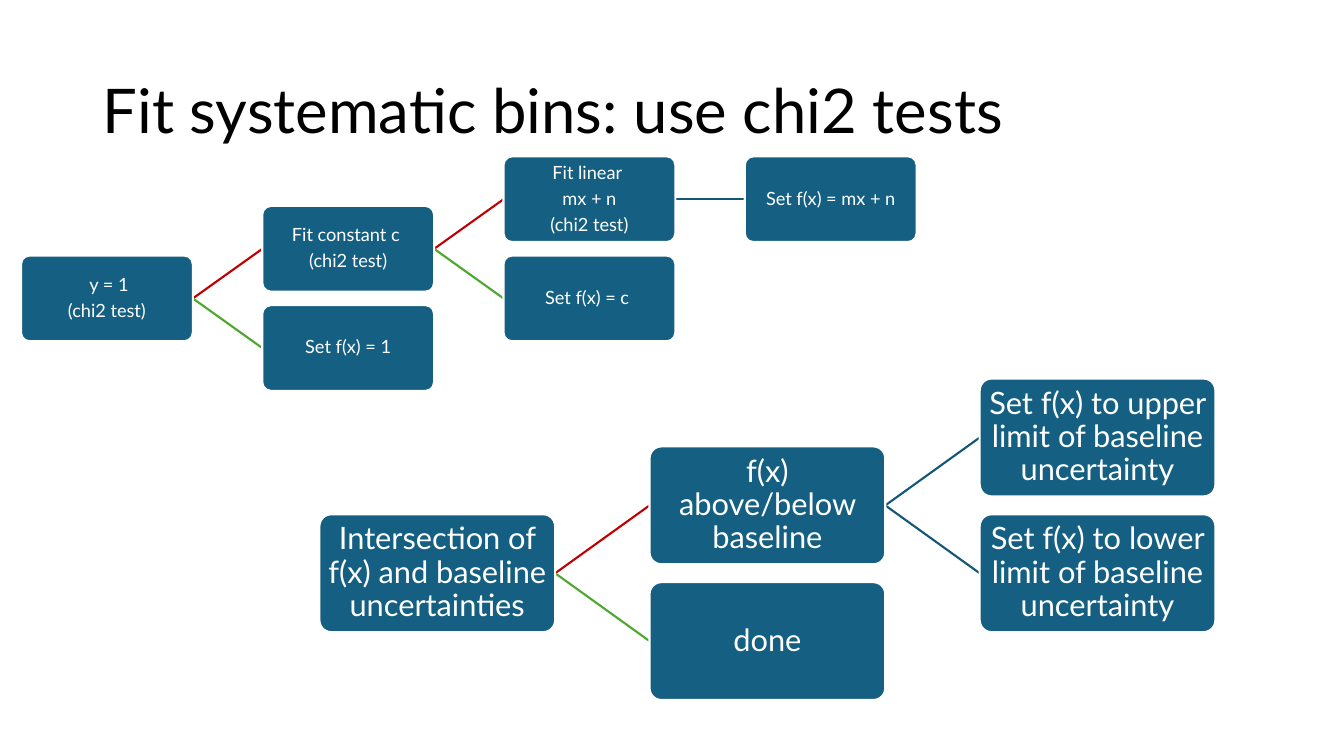
from dataclasses import dataclass

from lxml import etree
from pptx import Presentation
from pptx.dml.color import RGBColor
from pptx.enum import shapes, text
from pptx.oxml import ns
from pptx.util import Cm, Pt

FONT = "Lato"
WHITE, BLACK, BOX_BLUE, LINE_BLUE = "FFFFFF", "000000", "156082", "135776"
FAIL_RED, PASS_GREEN = "C00000", "4EA72E"


@dataclass
class TreeGrid:
    """Lengths in cm; a row is half the distance between two sibling boxes."""
    left: float
    top: float
    column_step: float
    row_step: float
    width: float
    height: float
    inset: float
    font_size: int

    def corner(self, cell):
        column, row = cell
        return self.left + column * self.column_step, self.top + row * self.row_step


FIT_GRID = TreeGrid(0.53, 6.44, 6.08, 1.25, 4.33, 2.16, 0.03, 13)
FIT_BOXES = {
    (0, 0): [" y = 1", "(chi2 test)"],
    (1, -1): ["Fit constant c ", "(chi2 test)"],
    (1, 1): ["Set f(x) = 1"],
    (2, -2): ["Fit linear ", "mx + n", "(chi2 test)"],
    (2, 0): ["Set f(x) = c "],
    (3, -2): ["Set f(x) = mx + n"],
}
FIT_BRANCHES = [
    ((0, 0), (1, -1), FAIL_RED),
    ((0, 0), (1, 1), PASS_GREEN),
    ((1, -1), (2, -2), FAIL_RED),
    ((1, -1), (2, 0), PASS_GREEN),
    ((2, -2), (3, -2), LINE_BLUE),
]

BASELINE_GRID = TreeGrid(8.05, 12.96, 8.32, 1.71, 5.94, 2.97, 0.05, 22)
BASELINE_BOXES = {
    (0, 0): ["Intersection of f(x) and baseline uncertainties"],
    (1, -1): ["f(x) above/below baseline"],
    (1, 1): ["done"],
    (2, -2): ["Set f(x) to upper limit of baseline uncertainty"],
    (2, 0): ["Set f(x) to lower limit of baseline uncertainty"],
}
BASELINE_BRANCHES = [
    ((0, 0), (1, -1), FAIL_RED),
    ((0, 0), (1, 1), PASS_GREEN),
    ((1, -1), (2, -2), LINE_BLUE),
    ((1, -1), (2, 0), LINE_BLUE),
]


def color(hex_string):
    return RGBColor.from_string(hex_string)


def add_run(paragraph, content, size, hex_color):
    run = paragraph.add_run()
    run.text = content
    run.font.name = FONT
    run.font.size = Pt(size)
    run.font.color.rgb = color(hex_color)


def set_title(slide, content):
    title = slide.shapes.title
    title.left, title.top, title.width, title.height = Cm(2.33), Cm(1.01), Cm(29.21), Cm(3.68)
    frame = title.text_frame
    frame.vertical_anchor = text.MSO_ANCHOR.MIDDLE
    paragraph = frame.paragraphs[0]
    paragraph.alignment = text.PP_ALIGN.LEFT
    paragraph.line_spacing = 0.9
    add_run(paragraph, content, 44, BLACK)


def add_branch(slide, grid, parent, child, hex_color):
    """Line from the right middle of the parent to the left middle of the child."""
    parent_left, parent_top = grid.corner(parent)
    child_left, child_top = grid.corner(child)
    middle = grid.height / 2
    connector = slide.shapes.add_connector(
        shapes.MSO_CONNECTOR.STRAIGHT,
        Cm(parent_left + grid.width), Cm(parent_top + middle),
        Cm(child_left), Cm(child_top + middle))
    connector.line.color.rgb = color(hex_color)
    connector.line.width = Pt(1.5)
    etree.SubElement(connector._element.spPr, ns.qn("a:effectLst"))


def add_box(slide, grid, cell, lines):
    left, top = grid.corner(cell)
    shape = slide.shapes.add_shape(
        shapes.MSO_SHAPE.ROUNDED_RECTANGLE,
        Cm(left), Cm(top), Cm(grid.width), Cm(grid.height))
    shape.adjustments[0] = 0.1
    shape.shadow.inherit = False
    shape.fill.solid()
    shape.fill.fore_color.rgb = color(BOX_BLUE)
    shape.line.color.rgb = color(WHITE)
    shape.line.width = Pt(1.5)

    frame = shape.text_frame
    frame.word_wrap = True
    frame.vertical_anchor = text.MSO_ANCHOR.MIDDLE
    frame.margin_left = frame.margin_right = Cm(grid.inset)
    frame.margin_top = frame.margin_bottom = Cm(grid.inset)
    for index, line in enumerate(lines):
        paragraph = frame.add_paragraph() if index else frame.paragraphs[0]
        paragraph.alignment = text.PP_ALIGN.CENTER
        paragraph.line_spacing = 0.9
        paragraph.space_after = Pt(0.35 * grid.font_size)
        add_run(paragraph, line, grid.font_size, WHITE)


def add_tree(slide, grid, boxes, branches):
    for parent, child, hex_color in branches:
        add_branch(slide, grid, parent, child, hex_color)
    for cell, lines in boxes.items():
        add_box(slide, grid, cell, lines)


def main():
    presentation = Presentation()
    presentation.slide_width, presentation.slide_height = Cm(33.87), Cm(19.05)
    slide = presentation.slides.add_slide(presentation.slide_layouts.get_by_name("Title Only"))
    set_title(slide, "Fit systematic bins: use chi2 tests")
    add_tree(slide, FIT_GRID, FIT_BOXES, FIT_BRANCHES)
    add_tree(slide, BASELINE_GRID, BASELINE_BOXES, BASELINE_BRANCHES)
    presentation.save("out.pptx")


if __name__ == "__main__":
    main()
